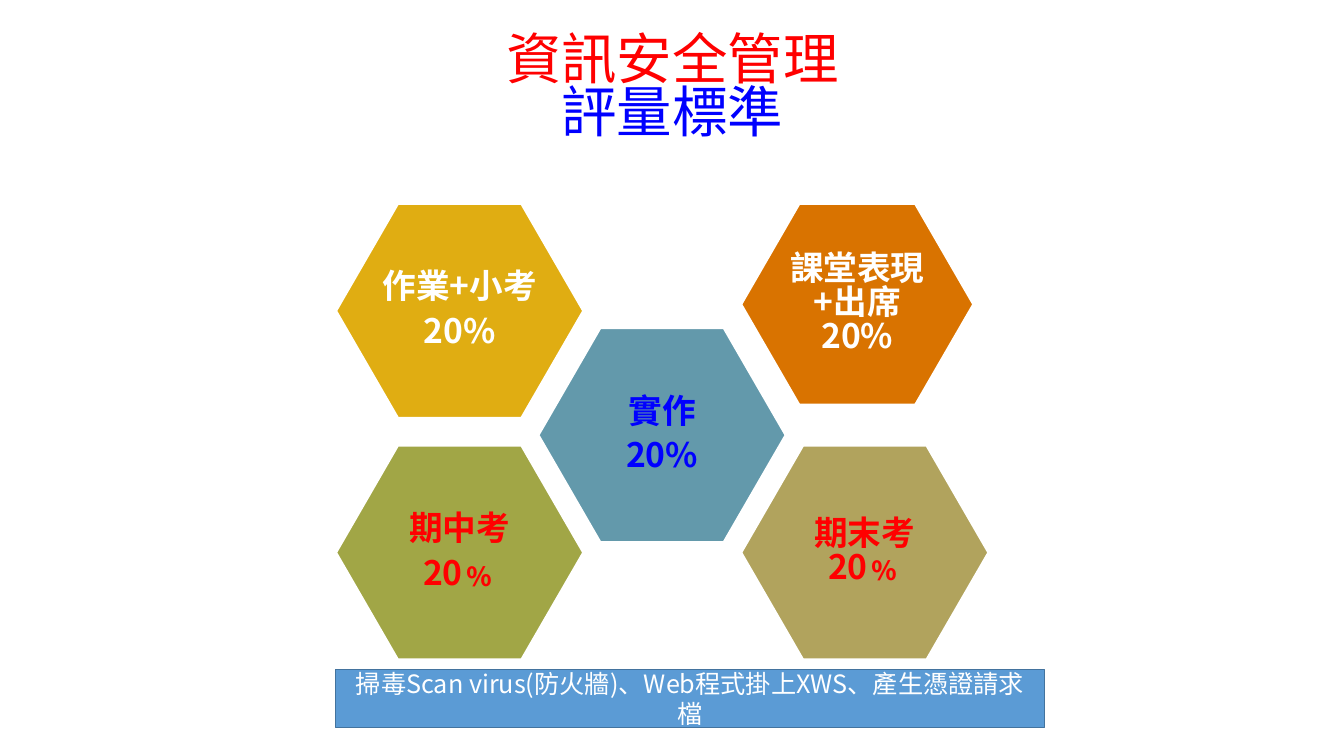
import pptx
import pptx.util
from pptx.util import Cm, Pt
from pptx.dml.color import RGBColor
from pptx.enum.shapes import MSO_SHAPE
from pptx.enum.text import MSO_ANCHOR, MSO_AUTO_SIZE, PP_ALIGN
from pptx.oxml.ns import qn
from lxml import etree

FONT = "Noto Sans CJK SC"
TITLE = [("資訊安全管理", "FF0000"), ("評量標準", "0000FF")]
LEFT, MIDDLE, RIGHT = 8.46, 13.56, 18.67
UPPER, CENTRE, LOWER = 5.13, 8.26, 11.22
FULL, SMALL = (6.25, 5.41), (5.87, 5.08)
HEXAGONS = [
    (["作業+小考", "20%"], LEFT, UPPER, FULL, "E0AD12", "FFFFFF"),
    (["課堂表現+出席20%"], RIGHT, UPPER, SMALL, "D97300", "FFFFFF"),
    (["實作", "20%"], MIDDLE, CENTRE, FULL, "6399AB", "0000FF"),
    (["期中考", "20﹪"], LEFT, LOWER, FULL, "A1A646", "FF0000"),
    (["期末考20﹪"], RIGHT, LOWER, FULL, "B1A35D", "FF0000"),
]
TOPICS = "掃毒Scan virus(防火牆)、Web程式掛上XWS、產生憑證請求檔"


def color(value):
    return RGBColor.from_string(value)


def write(frame, lines, size, bold=False, spacing=None, before=0):
    frame.word_wrap = True
    frame.auto_size = MSO_AUTO_SIZE.NONE
    frame.vertical_anchor = MSO_ANCHOR.MIDDLE
    for index, (text, ink) in enumerate(lines):
        para = frame.add_paragraph() if index else frame.paragraphs[0]
        para.text = text
        para.alignment = PP_ALIGN.CENTER
        para.line_spacing = spacing
        para.space_before = Pt(before)
        para.font.size = Pt(size)
        para.font.bold = bold
        para.font.color.rgb = color(ink)
        para.font.name = FONT
        latin = para._p.find(".//" + qn("a:latin"))
        east_asian = etree.Element(qn("a:ea"), typeface=FONT)
        latin.addnext(east_asian)


def add_box(page, kind, left, top, width, height, fill, outline, weight):
    box = page.shapes.add_shape(kind, Cm(left), Cm(top), Cm(width), Cm(height))
    box.shadow.inherit = False
    box.fill.solid()
    box.fill.fore_color.rgb = color(fill)
    box.line.color.rgb = color(outline)
    box.line.width = Pt(weight)
    return box


def add_hexagon(page, lines, left, top, size, fill, ink):
    box = add_box(page, MSO_SHAPE.HEXAGON, left, top, *size, fill, "FFFFFF", 2)
    box.adjustments[0] = 0.289
    frame = box.text_frame
    frame.margin_left = frame.margin_right = Cm(0.13)
    frame.margin_top = frame.margin_bottom = Cm(0.13)
    write(frame, [(line, ink) for line in lines], 24, True, 0.85, 7.2)


def main():
    deck = pptx.Presentation()
    deck.slide_width, deck.slide_height = Cm(33.87), Cm(19.05)
    page = deck.slides.add_slide(deck.slide_layouts[5])

    title = page.shapes.title
    title.left, title.top = Cm(2.34), Cm(0.69)
    title.width, title.height = Cm(29.21), Cm(3.15)
    write(title.text_frame, TITLE, 39.6, spacing=0.8)

    for hexagon in HEXAGONS:
        add_hexagon(page, *hexagon)

    bar = add_box(page, MSO_SHAPE.RECTANGLE, LEFT, 16.87, 17.86, 1.47,
                  "5B9BD5", "43739E", 1)
    write(bar.text_frame, [(TOPICS, "FFFFFF")], 18)

    deck.save("out.pptx")


if __name__ == "__main__":
    main()
